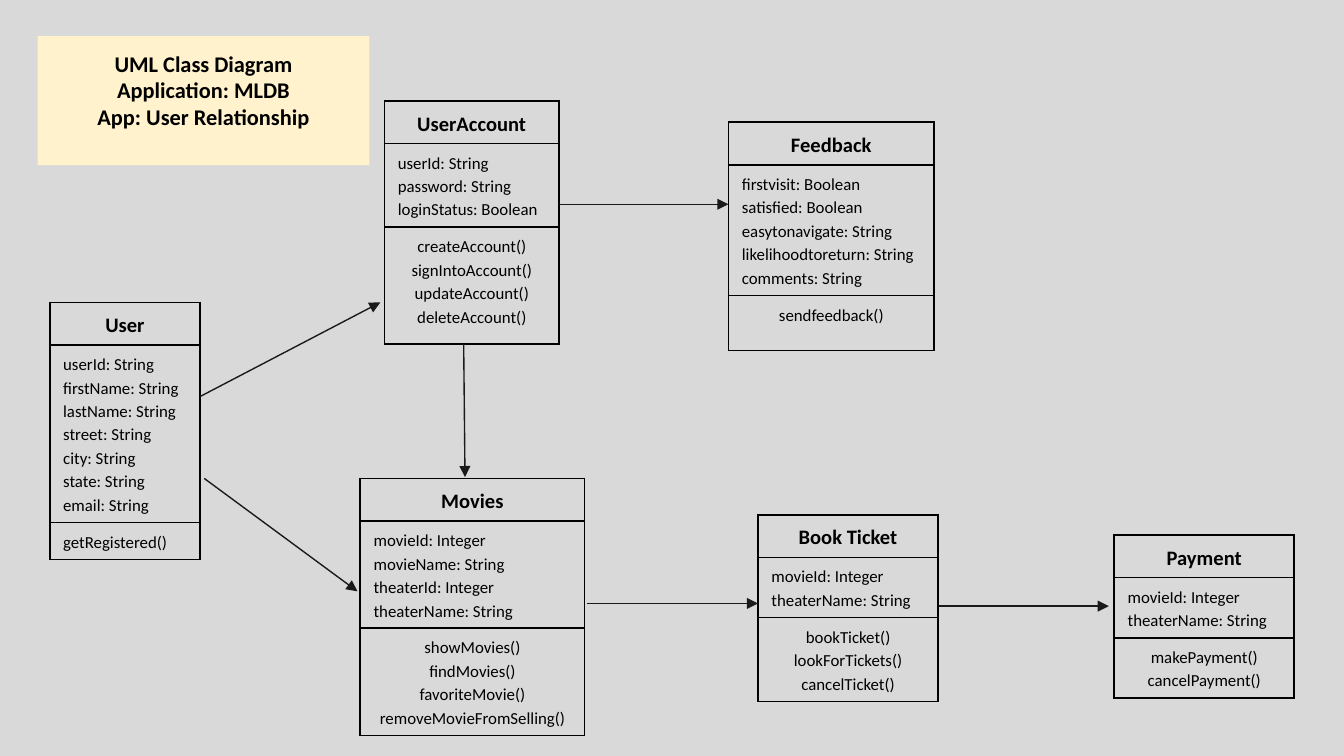
from dataclasses import dataclass

import lxml.etree
import pptx
import pptx.dml.color
import pptx.enum.shapes
import pptx.enum.text
import pptx.oxml.ns
import pptx.util

ALIGN = pptx.enum.text.PP_ALIGN
RGB = pptx.dml.color.RGBColor.from_string
qn = pptx.oxml.ns.qn


@dataclass(frozen=True)
class Theme:
    font: str = "Calibri"
    back: str = "D9D9D9"
    note: str = "FFF2CC"
    ink: str = "000000"
    line: str = "1A1A1A"
    title: float = 12
    head: float = 11
    body: float = 9
    thin: float = 0.75
    edge: float = 1


def unit(count):
    """Length of a number of grid steps; the slide is 100 steps wide."""
    return pptx.util.Inches(count / 10)


def assign(target, values):
    for name, value in values.items():
        setattr(target, name, value)


class Diagram:
    def __init__(self, deck, theme):
        self.theme = theme
        self.slide = deck.slides.add_slide(deck.slide_layouts[6])
        fill = self.slide.background.fill
        fill.solid()
        fill.fore_color.rgb = RGB(theme.back)

    def label(self, frame, lines, size, bold, align, space=1.0):
        frame.word_wrap = True
        for i, line in enumerate(lines):
            para = frame.paragraphs[0] if i == 0 else frame.add_paragraph()
            assign(para, {"alignment": align, "line_spacing": space})
            run = para.add_run()
            run.text = line
            assign(run.font, {"name": self.theme.font, "bold": bold,
                              "size": pptx.util.Pt(size)})
            run.font.color.rgb = RGB(self.theme.ink)

    def note(self, x, y, w, h, lines):
        kind = pptx.enum.shapes.MSO_SHAPE.RECTANGLE
        box = self.slide.shapes.add_shape(kind, *map(unit, (x, y, w, h)))
        box.shadow.inherit = False
        box.fill.solid()
        box.fill.fore_color.rgb = RGB(self.theme.note)
        box.line.fill.background()
        sides = ("left", "top", "right", "bottom")
        assign(box.text_frame, {f"margin_{side}": unit(1) for side in sides})
        box.text_frame.vertical_anchor = pptx.enum.text.MSO_ANCHOR.TOP
        self.label(box.text_frame, lines, self.theme.title, True, ALIGN.CENTER)

    def frame(self, cell):
        """Outline a cell and leave it unfilled."""
        props = cell._tc.get_or_add_tcPr()
        for side in "LRTB":
            width = str(pptx.util.Pt(self.theme.edge))
            edge = lxml.etree.SubElement(props, qn(f"a:ln{side}"), w=width)
            solid = lxml.etree.SubElement(edge, qn("a:solidFill"))
            lxml.etree.SubElement(solid, qn("a:srgbClr"), val=self.theme.ink)
        cell.fill.background()

    def entity(self, x, y, w, name, fields, calls, least=0, align=ALIGN.CENTER):
        """Draw a class as a table: name, fields and methods."""
        parts = (([name], self.theme.head, True, ALIGN.CENTER),
                 (fields, self.theme.body, False, ALIGN.LEFT),
                 (calls, self.theme.body, False, align))
        tall = [3.15] + [1 + 1.74 * len(part) for part in (fields, calls)]
        tall[2] = max(tall[2], least)
        place = map(unit, (x, y, w, sum(tall)))
        table = self.slide.shapes.add_table(3, 1, *place).table
        assign(table, {"first_row": False, "horz_banding": False})
        for i, (lines, size, bold, side) in enumerate(parts):
            table.rows[i].height = unit(tall[i])
            cell = table.cell(i, 0)
            assign(cell, {"margin_left": unit(1), "margin_right": unit(1),
                          "margin_top": unit(0.5), "margin_bottom": unit(0.5)})
            self.frame(cell)
            self.label(cell.text_frame, lines, size, bold, side, 1.15)

    def arrow(self, *ends):
        kind = pptx.enum.shapes.MSO_CONNECTOR.STRAIGHT
        link = self.slide.shapes.add_connector(kind, *map(unit, ends))
        link.line.color.rgb = RGB(self.theme.line)
        link.line.width = pptx.util.Pt(self.theme.thin)
        props = link._element.spPr
        line = props.find(qn("a:ln"))
        lxml.etree.SubElement(line, qn("a:tailEnd"), type="triangle")
        lxml.etree.SubElement(props, qn("a:effectLst"))


def main():
    deck = pptx.Presentation()
    assign(deck, {"slide_width": unit(100), "slide_height": unit(56.25)})
    page = Diagram(deck, Theme())
    ticket = ["movieId: Integer", "theaterName: String"]

    page.note(2.8, 2.7, 24.7, 9.6, ["UML Class Diagram", "Application: MLDB",
                                    "App: User Relationship"])
    page.entity(28.6, 7.5, 13, "UserAccount",
                ["userId: String", "password: String", "loginStatus: Boolean"],
                ["createAccount()", "signIntoAccount()", "updateAccount()",
                 "deleteAccount()"], least=8.7)
    page.entity(26.8, 35.6, 16.7, "Movies",
                ["movieId: Integer", "movieName: String", "theaterId: Integer",
                 "theaterName: String"],
                ["showMovies()", "findMovies()", "favoriteMovie()",
                 "removeMovieFromSelling()"])
    page.entity(3.7, 22.5, 11.2, "User",
                ["userId: String", "firstName: String", "lastName: String",
                 "street: String", "city: String", "state: String",
                 "email: String"], ["getRegistered()"], align=ALIGN.LEFT)
    page.entity(56.4, 38.3, 13.4, "Book Ticket", ticket,
                ["bookTicket()", "lookForTickets()", "cancelTicket()"])
    page.entity(82.9, 39.8, 13.4, "Payment", ticket,
                ["makePayment()", "cancelPayment()"])
    page.entity(54.2, 9.1, 15.3, "Feedback",
                ["firstvisit: Boolean", "satisfied: Boolean",
                 "easytonavigate: String", "likelihoodtoreturn: String",
                 "comments: String"], ["sendfeedback()"], least=4.1)

    for ends in ((34.5, 25.6, 34.6, 35.5), (14.9, 29.5, 28.3, 22.5),
                 (15.2, 35.6, 26.6, 44), (43.7, 44.9, 56.4, 44.9),
                 (69.9, 45.1, 82.5, 45.1), (41.6, 15.2, 54.2, 15.2)):
        page.arrow(*ends)
    deck.save("out.pptx")


if __name__ == "__main__":
    main()
